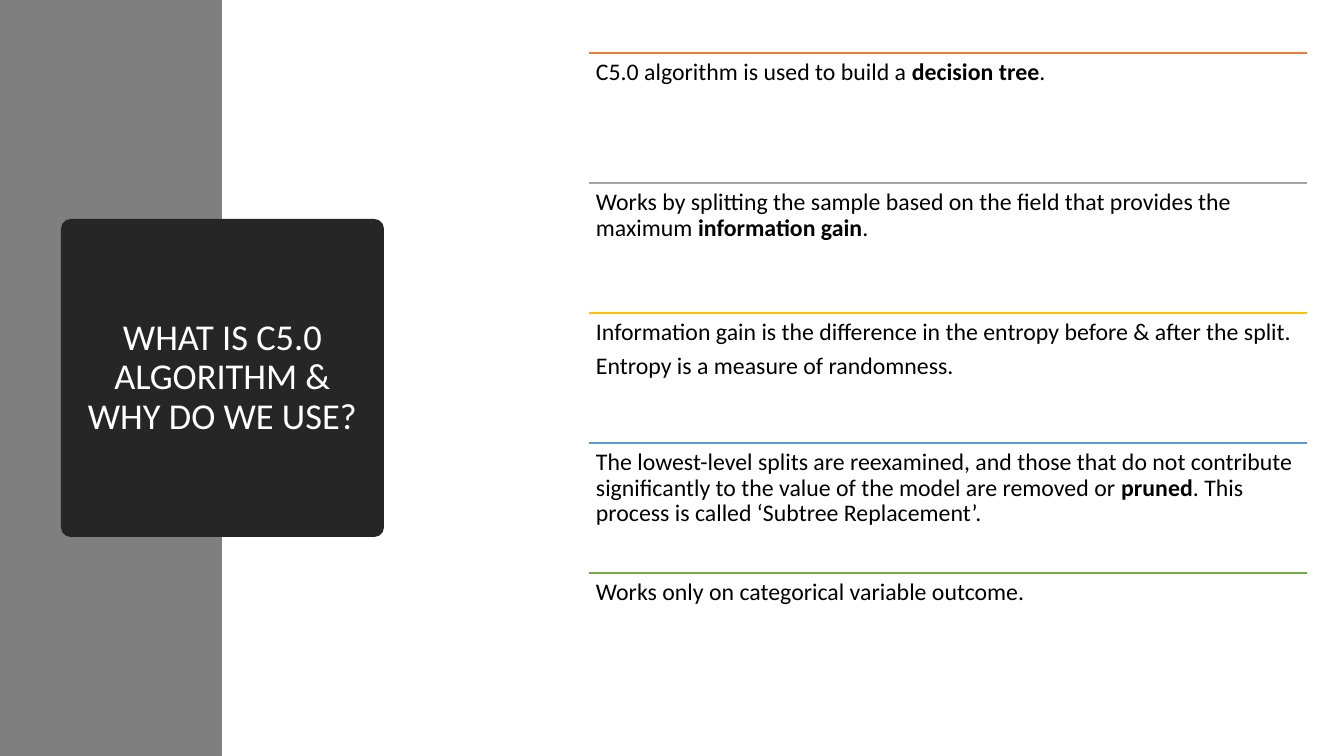
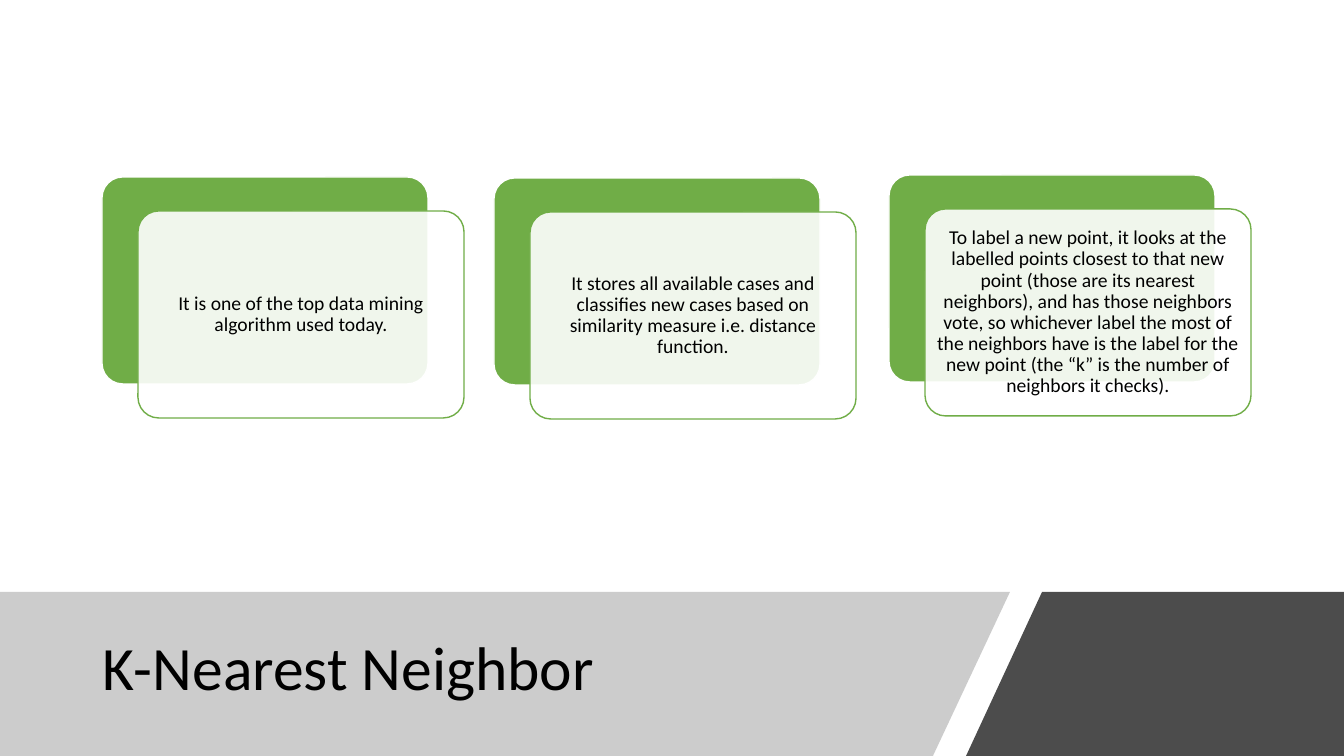
"""Build two slides on the C5.0 algorithm and K-Nearest Neighbor."""
import dataclasses

import lxml.etree
import pptx
import pptx.dml.color
import pptx.enum.shapes
import pptx.enum.text
import pptx.oxml.ns
import pptx.util

SCALE = 914400 / 100.8
KIND = pptx.enum.shapes.MSO_SHAPE
ALIGN = pptx.enum.text.PP_ALIGN
ANCHOR = pptx.enum.text.MSO_ANCHOR


@dataclasses.dataclass(frozen=True)
class Theme:
    """Colours, font and type sizes of the deck."""

    font: str = "Calibri"
    black: str = "000000"
    white: str = "FFFFFF"
    dark: str = "262626"
    side: str = "7F7F7F"
    band: str = "808080"
    green: str = "70AD47"
    rules: tuple = ("ED7D31", "A5A5A5", "FFC000", "5B9BD5", "70AD47")
    head: int = 26
    title: int = 44
    body: int = 17
    card: int = 14


THEME = Theme()

POINTS = (
    (("C5.0 algorithm is used to build a ", "decision tree", "."),),
    (("Works by splitting the sample based on the field that provides "
      "the maximum ", "information gain", "."),),
    (("Information gain is the difference in the entropy before & after "
      "the split.",),
     ("Entropy is a measure of randomness.",)),
    (("The lowest-level splits are reexamined, and those that do not "
      "contribute significantly to the value of the model are removed or ",
      "pruned", ". This process is called ‘Subtree Replacement’."),),
    (("Works only on categorical variable outcome.",),),
)

CARDS = (
    (102, 177, "It is one of the top data mining algorithm used today."),
    (494, 178, "It stores all available cases and classifies new cases based "
               "on similarity measure i.e. distance function."),
    (889, 175, "To label a new point, it looks at the labelled points closest "
               "to that new point (those are its nearest neighbors), and has "
               "those neighbors vote, so whichever label the most of the "
               "neighbors have is the label for the new point (the “k” is the "
               "number of neighbors it checks)."),
)


def px(*sizes):
    """Turn pixel lengths into EMU."""
    return [pptx.util.Emu(round(size * SCALE)) for size in sizes]


def rgb(code):
    """Turn a hex code into a colour."""
    return pptx.dml.color.RGBColor.from_string(code)


def add(node, tag, **traits):
    """Append a drawing element to a node."""
    lxml.etree.SubElement(node, pptx.oxml.ns.qn(tag), **traits)


def paint(shape, fill, line=None, alpha=100):
    """Set fill, opacity and outline of a shape."""
    shape.shadow.inherit = False
    shape.fill.solid()
    shape.fill.fore_color.rgb = rgb(fill)
    if alpha < 100:
        tone = shape.element.spPr.find(".//" + pptx.oxml.ns.qn("a:srgbClr"))
        add(tone, "a:alpha", val=str(alpha * 1000))
    if line:
        shape.line.color.rgb = rgb(line)
        shape.line.width = pptx.util.Pt(1)
    else:
        shape.line.fill.background()


def block(slide, kind, box, fill, line=None, alpha=100, bend=None):
    """Add a preset shape."""
    shape = slide.shapes.add_shape(kind, *px(*box))
    paint(shape, fill, line, alpha)
    if bend is not None:
        shape.adjustments[0] = bend
    return shape


def poly(slide, dots, fill, alpha):
    """Add a closed outline through the given points."""
    pen = slide.shapes.build_freeform(*dots[0], scale=SCALE)
    pen.add_line_segments(dots[1:], close=True)
    paint(pen.convert_to_shape(), fill, alpha=alpha)


def rule(slide, left, top, width, tone):
    """Add a level line."""
    line = slide.shapes.add_connector(
        pptx.enum.shapes.MSO_CONNECTOR.STRAIGHT,
        *px(left, top, left + width, top))
    line.line.color.rgb = rgb(tone)
    line.line.width = pptx.util.Pt(1)
    add(line.element.spPr, "a:effectLst")


def write(shape, paras, size, tone=THEME.black, align=ALIGN.LEFT,
          anchor=ANCHOR.MIDDLE, pad=(10, 5), after=0):
    """Fill a shape with paragraphs whose every second run is bold."""
    frame = shape.text_frame
    frame.word_wrap = True
    frame.vertical_anchor = anchor
    frame.margin_left, frame.margin_top = px(*pad)
    frame.margin_right, frame.margin_bottom = px(*pad)
    for rank, runs in enumerate(paras):
        para = frame.add_paragraph() if rank else frame.paragraphs[0]
        para.alignment = align
        para.line_spacing = 0.9
        para.space_after = pptx.util.Pt(after)
        for spot, text in enumerate(runs):
            run = para.add_run()
            run.text = text
            run.font.name = THEME.font
            run.font.size = pptx.util.Pt(size)
            run.font.bold = spot % 2 == 1
            run.font.color.rgb = rgb(tone)


def label(slide, box, paras, size, **style):
    """Add a text box."""
    write(slide.shapes.add_textbox(*px(*box)), paras, size, **style)


def card(slide, left, top, text):
    """Add a green card with a clear text card set off in front."""
    wide, high = 326, 207
    block(slide, KIND.ROUNDED_RECTANGLE, (left, top, wide, high),
          THEME.green, THEME.white, bend=0.1)
    front = block(slide, KIND.ROUNDED_RECTANGLE,
                  (left + 36, top + 34, wide, high),
                  THEME.white, THEME.green, alpha=90, bend=0.1)
    write(front, [(text,)], THEME.card, align=ALIGN.CENTER, pad=(6, 6))


def tree(slide):
    """Draw the C5.0 slide."""
    block(slide, KIND.RECTANGLE, (0, 0, 222, 756), THEME.side)
    head = block(slide, KIND.ROUNDED_RECTANGLE, (61, 219, 323, 318),
                 THEME.dark, bend=0.03)
    write(head, [("WHAT IS C5.0 ALGORITHM & WHY DO WE USE?",)], THEME.head,
          tone=THEME.white, align=ALIGN.CENTER, pad=(17, 12))
    left, top, wide, step = 589, 53, 718, 130
    for rank, (tone, paras) in enumerate(zip(THEME.rules, POINTS)):
        row = top + rank * step
        rule(slide, left, row, wide, tone)
        label(slide, (left, row, wide, step), paras, THEME.body,
              anchor=ANCHOR.TOP, pad=(7, 7), after=6)


def near(slide):
    """Draw the K-Nearest Neighbor slide."""
    top, foot = 592, 756
    poly(slide, [(0, top), (1010, top), (933, foot), (0, foot)],
         THEME.band, 40)
    label(slide, (93, 610, 851, 121), [("K-Nearest Neighbor",)],
          THEME.title, after=6)
    poly(slide, [(1042, top), (1344, top), (1344, foot), (966, foot)],
         THEME.black, 70)
    for item in CARDS:
        card(slide, *item)


def main():
    """Build and save the deck."""
    deck = pptx.Presentation()
    deck.slide_width, deck.slide_height = px(1344, 756)
    for draw in (tree, near):
        draw(deck.slides.add_slide(deck.slide_layouts[6]))
    deck.save("out.pptx")


if __name__ == "__main__":
    main()
